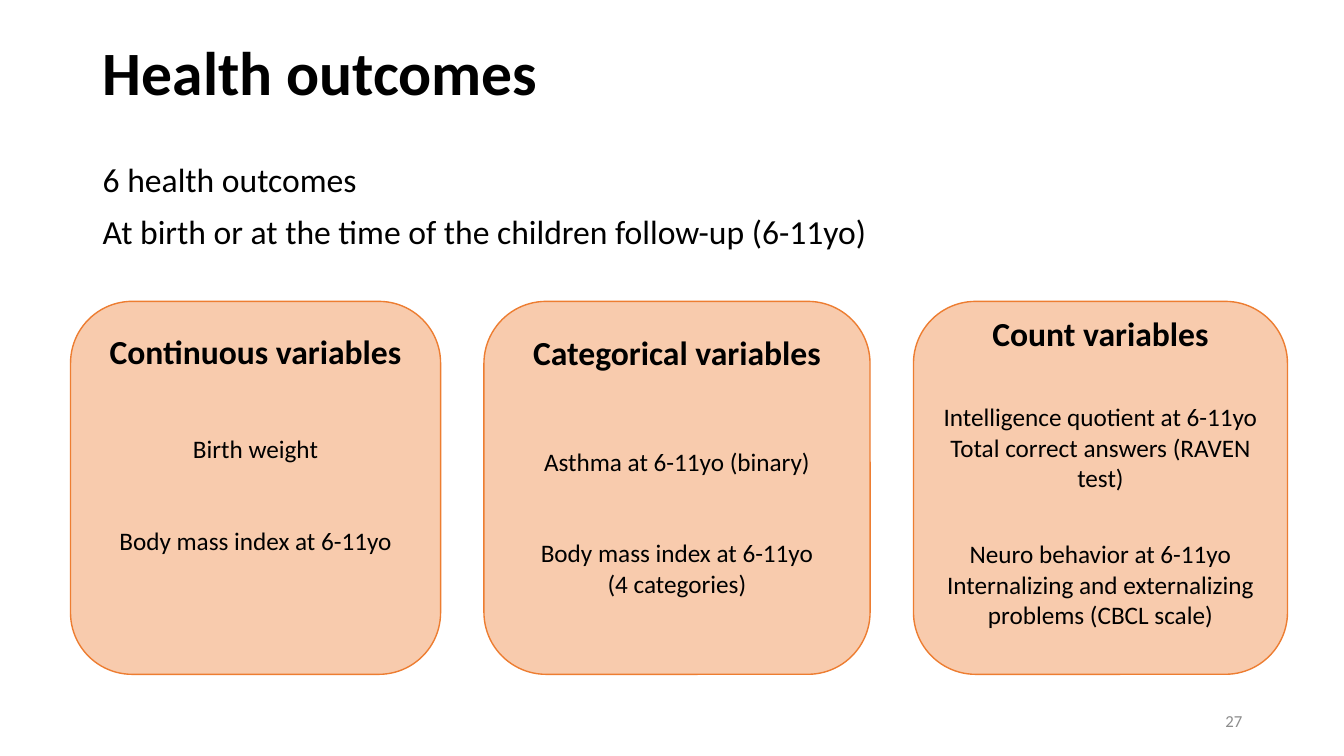
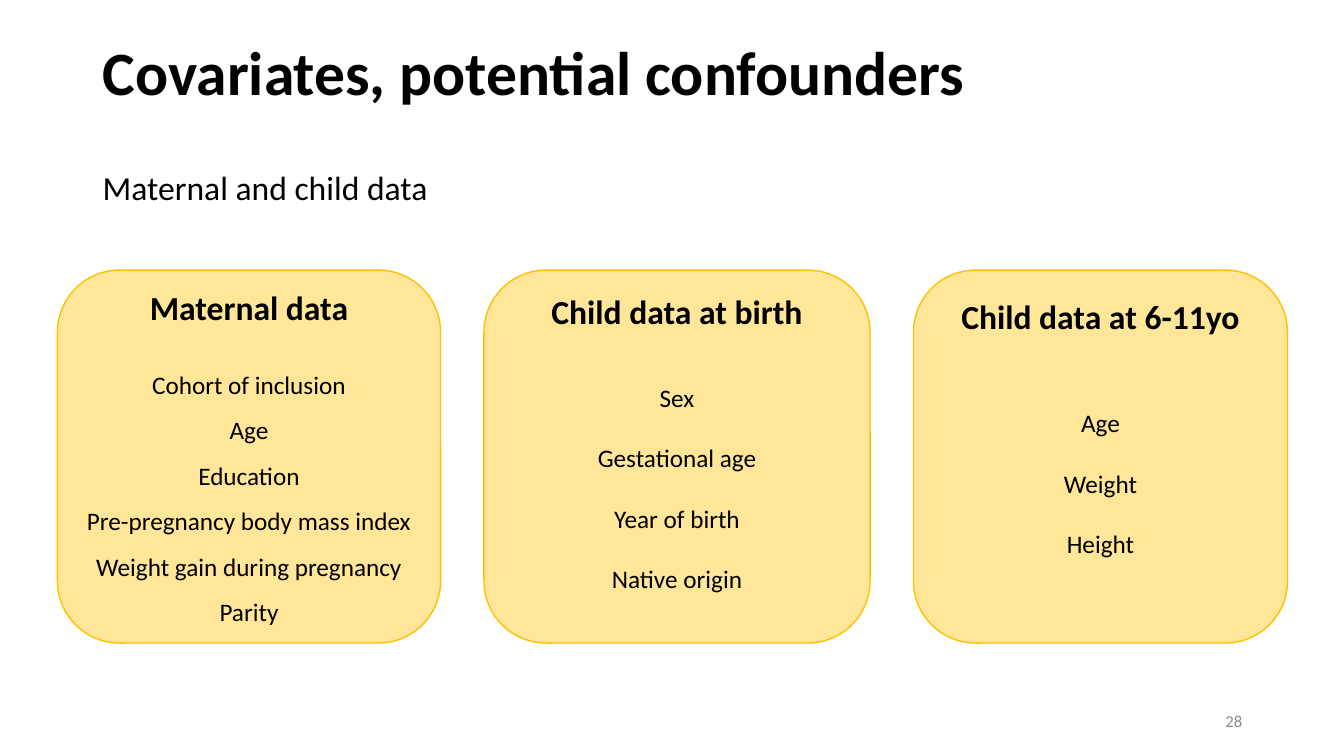
"""Build two slides of rounded cards listing health outcomes and covariates."""
from dataclasses import dataclass

from pptx import Presentation
from pptx.dml.color import RGBColor
from pptx.enum import shapes, text
from pptx.util import Inches, Pt


@dataclass(frozen=True)
class Theme:
    font: str = "Calibri"
    ink: str = "000000"
    muted: str = "8C8C8C"
    title: int = 44
    lead: int = 24
    body: int = 18
    number: int = 12


THEME = Theme()
LEFT = 0.92
CARD_RIGHTS = (4.37, 8.63, 12.77)
CARD_HEIGHT = 3.7

SLIDES = [
    {
        "title": "Health outcomes",
        "lead": ["6 health outcomes",
                 "At birth or at the time of the children follow-up (6-11yo)"],
        "lead_top": 1.53, "number": "27",
        "fill": "F8CBAD", "line": "ED7D31",
        "card_top": 2.99, "widths": (3.67, 3.83, 3.71),
        "cards": [
            {"head": "Continuous variables", "bottom": 0.93, "first_gap": 44.5, "gap": 44,
             "items": [["Birth weight"], ["Body mass index at 6-11yo"]]},
            {"head": "Categorical variables", "bottom": 0.5, "first_gap": 52.5, "gap": 44,
             "items": [["Asthma at 6-11yo (binary)"],
                       ["Body mass index at 6-11yo", "(4 categories)"]]},
            {"head": "Count variables", "bottom": 0.38, "first_gap": 34.5, "gap": 33,
             "items": [["Intelligence quotient at 6-11yo",
                        "Total correct answers (RAVEN test)"],
                       ["Neuro behavior at 6-11yo",
                        "Internalizing and externalizing problems (CBCL scale)"]]},
        ],
    },
    {
        "title": "Covariates, potential confounders",
        "lead": ["Maternal and child data"],
        "lead_top": 1.61, "number": "28",
        "fill": "FFE699", "line": "FFC000",
        "card_top": 2.68, "widths": (3.8, 3.83, 3.71),
        "cards": [
            {"head": "Maternal data", "bottom": 0.05, "first_gap": 19.5, "spacing": 1.5,
             "items": [["Cohort of inclusion"], ["Age"], ["Education"],
                       ["Pre-pregnancy body mass index"],
                       ["Weight gain during pregnancy"], ["Parity"]]},
            {"head": "Child data at birth", "bottom": 0.33, "first_gap": 14.5, "spacing": 2.0,
             "items": [["Sex"], ["Gestational age"], ["Year of birth"], ["Native origin"]]},
            {"head": "Child data at 6-11yo", "bottom": 0.63, "first_gap": 29.5, "spacing": 2.0,
             "items": [["Age"], ["Weight"], ["Height"]]},
        ],
    },
]


def rgb(value):
    """Turn a hex string into a colour."""
    return RGBColor.from_string(value)


def write(tf, index, lines, size, align, bold=False, color=THEME.ink, before=0, spacing=1.0):
    """Write one paragraph whose lines are parted by line breaks."""
    p = tf.add_paragraph() if index else tf.paragraphs[0]
    p.alignment, p.line_spacing, p.space_before = align, spacing, Pt(before)
    for i, line in enumerate(lines):
        if i:
            p.add_line_break()
        r = p.add_run()
        r.text = line
        r.font.name, r.font.size, r.font.bold = THEME.font, Pt(size), bold
        r.font.color.rgb = rgb(color)


def add_text(s, box, anchor):
    """Add a wrapping text box and return its text frame."""
    tf = s.shapes.add_textbox(*map(Inches, box)).text_frame
    tf.word_wrap, tf.vertical_anchor = True, anchor
    return tf


def add_title(s, title):
    """Place and format the title placeholder."""
    sp = s.shapes.title
    sp.left, sp.top, sp.width, sp.height = map(Inches, (LEFT, 0.4, 11.84, 0.69))
    sp.text_frame.vertical_anchor = text.MSO_ANCHOR.MIDDLE
    write(sp.text_frame, 0, [title], THEME.title, text.PP_ALIGN.LEFT, True, spacing=0.9)


def add_card(s, box, card, fill, line):
    """Add a rounded card with a heading and its items."""
    sp = s.shapes.add_shape(shapes.MSO_SHAPE.ROUNDED_RECTANGLE, *map(Inches, box))
    sp.shadow.inherit = False
    sp.fill.solid()
    sp.fill.fore_color.rgb = rgb(fill)
    sp.line.color.rgb, sp.line.width = rgb(line), Pt(1)
    tf = sp.text_frame
    tf.word_wrap, tf.vertical_anchor = True, text.MSO_ANCHOR.MIDDLE
    tf.margin_bottom = Inches(card["bottom"])
    center = text.PP_ALIGN.CENTER
    write(tf, 0, [card["head"]], THEME.lead, center, True)
    for i, lines in enumerate(card["items"], 1):
        before = card["first_gap"] if i == 1 else card.get("gap", 0)
        write(tf, i, lines, THEME.body, center, before=before,
              spacing=card.get("spacing", 1.0))


def add_slide(prs, data):
    """Build one slide from its content."""
    s = prs.slides.add_slide(prs.slide_layouts[5])
    add_title(s, data["title"])
    tf = add_text(s, (LEFT, data["lead_top"], 11.45, 0.5 * len(data["lead"])),
                  text.MSO_ANCHOR.TOP)
    for i, line in enumerate(data["lead"]):
        write(tf, i, [line], THEME.lead, text.PP_ALIGN.LEFT, before=8.5 if i else 0)
    for right, width, card in zip(CARD_RIGHTS, data["widths"], data["cards"]):
        add_card(s, (right - width, data["card_top"], width, CARD_HEIGHT), card,
                 data["fill"], data["line"])
    tf = add_text(s, (9.42, 6.95, 3, 0.4), text.MSO_ANCHOR.MIDDLE)
    write(tf, 0, [data["number"]], THEME.number, text.PP_ALIGN.RIGHT, color=THEME.muted)


def main():
    """Build and save the presentation."""
    prs = Presentation()
    prs.slide_width, prs.slide_height = Inches(13.33), Inches(7.5)
    for data in SLIDES:
        add_slide(prs, data)
    prs.save("out.pptx")


if __name__ == "__main__":
    main()
